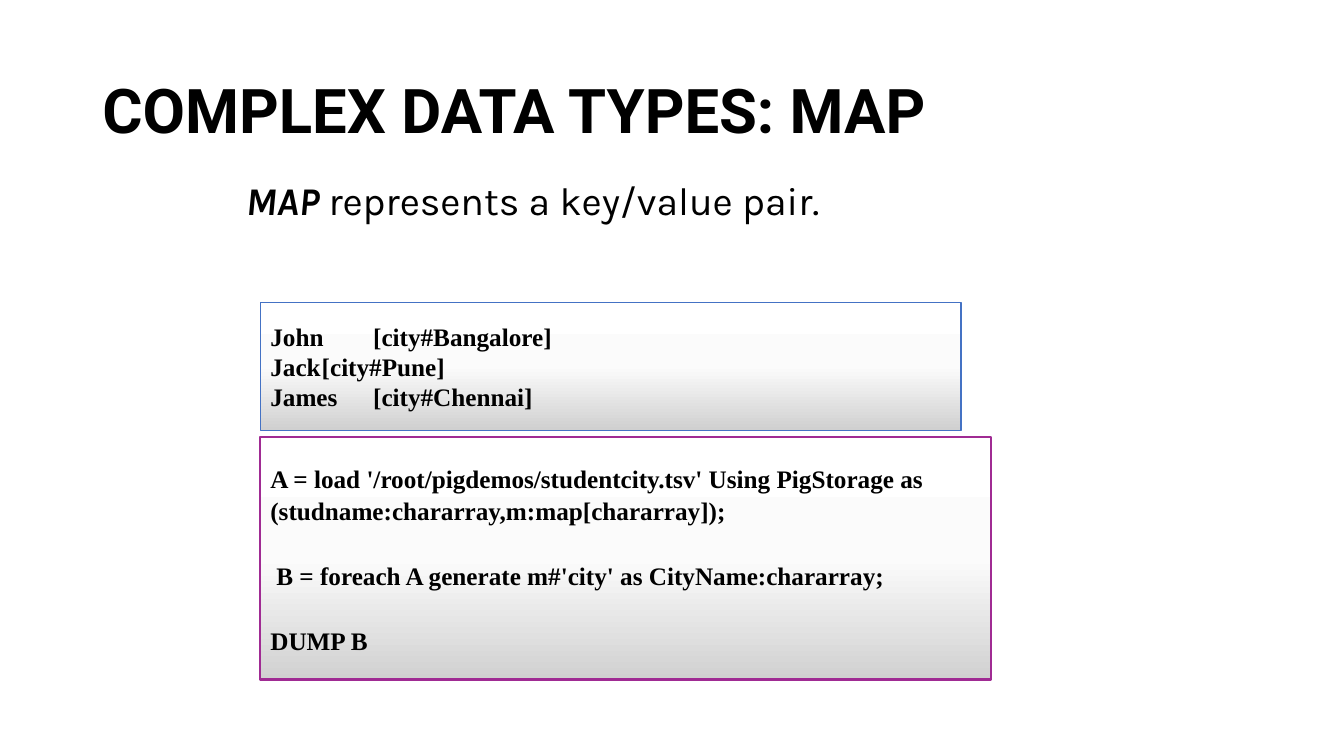
from dataclasses import dataclass

from lxml import etree
from pptx import Presentation
from pptx.dml.color import RGBColor
from pptx.enum.shapes import MSO_SHAPE
from pptx.enum.text import MSO_ANCHOR, MSO_AUTO_SIZE, PP_ALIGN
from pptx.oxml.ns import qn
from pptx.shapes.autoshape import Shape
from pptx.slide import Slide
from pptx.text.text import TextFrame
from pptx.util import Inches, Pt

RECTANGLE = MSO_SHAPE.RECTANGLE
LEFT = PP_ALIGN.LEFT
TOP, MIDDLE = MSO_ANCHOR.TOP, MSO_ANCHOR.MIDDLE
FIXED = MSO_AUTO_SIZE.NONE

COLUMNS, ROWS = 160, 90
CELL = Inches(1) // 12
TITLE_ONLY = 5
TAB_STEP, TAB_COUNT = 0.51, 8

COLORS = {
    "text": "000000",
    "light": "FFFFFF",
    "middle": "FBFBFB",
    "data_dark": "D0D0D0",
    "script_dark": "D1D1D1",
    "data_line": "4472C4",
    "script_line": "A02B93",
}
TITLE_FONT = {"name": "Roboto", "size": Pt(44), "bold": True}
TERM_FONT = {"name": "Karla", "size": Pt(28), "bold": True, "italic": True}
LEAD_FONT = {"name": "Karla", "size": Pt(28), "bold": False, "italic": False}
CODE_FONT = {"name": "Times New Roman", "size": Pt(18), "bold": True}


@dataclass(frozen=True)
class Area:
    column: float
    row: float
    columns: float
    rows: float

    def place(self) -> dict[str, int]:
        return {
            "left": round(self.column * CELL),
            "top": round(self.row * CELL),
            "width": round(self.columns * CELL),
            "height": round(self.rows * CELL),
        }


@dataclass(frozen=True)
class Span:
    text: str
    font: dict


@dataclass(frozen=True)
class Line:
    spans: tuple[Span, ...]
    spacing: float = 1.0
    before: float = 0
    indent: float = 0
    tabbed: bool = False


@dataclass(frozen=True)
class Panel:
    area: Area
    dark: str
    outline: str
    weight: float
    lines: tuple[Line, ...]


def code(text: str, **layout: float) -> Line:
    return Line((Span(text, CODE_FONT),), tabbed=True, **layout)


TITLE = Line((Span("COMPLEX DATA TYPES: MAP", TITLE_FONT),), 0.9)
TITLE_AREA = Area(11, 4.8, 138, 17.4)
LEAD = Line(
    (Span("MAP", TERM_FONT), Span(" represents a key/value pair.", LEAD_FONT)), 0.9
)
LEAD_AREA = Area(28.1, 21, 107, 64)

PANELS = (
    Panel(
        Area(31, 36, 83.4, 15.25), "data_dark", "data_line", 1,
        (
            code("John\t[city#Bangalore]"),
            code("Jack\t[city#Pune]"),
            code("James\t[city#Chennai]"),
        ),
    ),
    Panel(
        Area(31, 52, 87, 28.9), "script_dark", "script_line", 1.5,
        (
            code(
                "A = load '/root/pigdemos/studentcity.tsv' Using PigStorage as "
                "(studname:chararray,m:map[chararray]);",
                spacing=1.07,
            ),
            code(
                "B = foreach A generate m#'city' as CityName:chararray;",
                spacing=1.07, before=23, indent=0.06,
            ),
            code("DUMP B", spacing=1.07, before=23),
        ),
    ),
)


def apply(target: object, values: dict) -> None:
    for name, value in values.items():
        setattr(target, name, value)


def color(name: str) -> RGBColor:
    return RGBColor.from_string(COLORS[name])


def write(frame: TextFrame, lines: tuple[Line, ...], anchor: MSO_ANCHOR) -> None:
    apply(frame, {"word_wrap": True, "auto_size": FIXED, "vertical_anchor": anchor})
    for index, line in enumerate(lines):
        para = frame.add_paragraph() if index else frame.paragraphs[0]
        apply(para, {
            "alignment": LEFT,
            "line_spacing": line.spacing,
            "space_before": Pt(line.before),
        })
        for span in line.spans:
            run = para.add_run()
            run.text = span.text
            apply(run.font, span.font)
            run.font.color.rgb = color("text")
        properties = para._p.get_or_add_pPr()
        properties.set("marL", str(Inches(line.indent)))
        if line.tabbed:
            tabs = etree.SubElement(properties, qn("a:tabLst"))
            for step in range(1, TAB_COUNT + 1):
                position = str(Inches(TAB_STEP * step))
                etree.SubElement(tabs, qn("a:tab"), pos=position, algn="l")


def shade(box: Shape, dark: str) -> None:
    box.fill.gradient()
    box.fill.gradient_angle = 270
    stops = box._element.spPr.find(qn("a:gradFill")).find(qn("a:gsLst"))
    for stop in list(stops):
        stops.remove(stop)
    for share, name in ((0, "light"), (50, "middle"), (100, dark)):
        stop = etree.SubElement(stops, qn("a:gs"), pos=str(share * 1000))
        etree.SubElement(stop, qn("a:srgbClr"), val=COLORS[name])


def draw_panel(page: Slide, panel: Panel) -> None:
    box = page.shapes.add_shape(RECTANGLE, **panel.area.place())
    box.shadow.inherit = False
    shade(box, panel.dark)
    box.line.color.rgb = color(panel.outline)
    box.line.width = Pt(panel.weight)
    write(box.text_frame, panel.lines, MIDDLE)


def main() -> None:
    deck = Presentation()
    apply(deck, {"slide_width": COLUMNS * CELL, "slide_height": ROWS * CELL})
    page = deck.slides.add_slide(deck.slide_layouts[TITLE_ONLY])
    title = page.shapes.title
    apply(title, TITLE_AREA.place())
    write(title.text_frame, (TITLE,), MIDDLE)
    lead = page.shapes.add_textbox(**LEAD_AREA.place())
    write(lead.text_frame, (LEAD,), TOP)
    for panel in PANELS:
        draw_panel(page, panel)
    deck.save("out.pptx")


if __name__ == "__main__":
    main()
